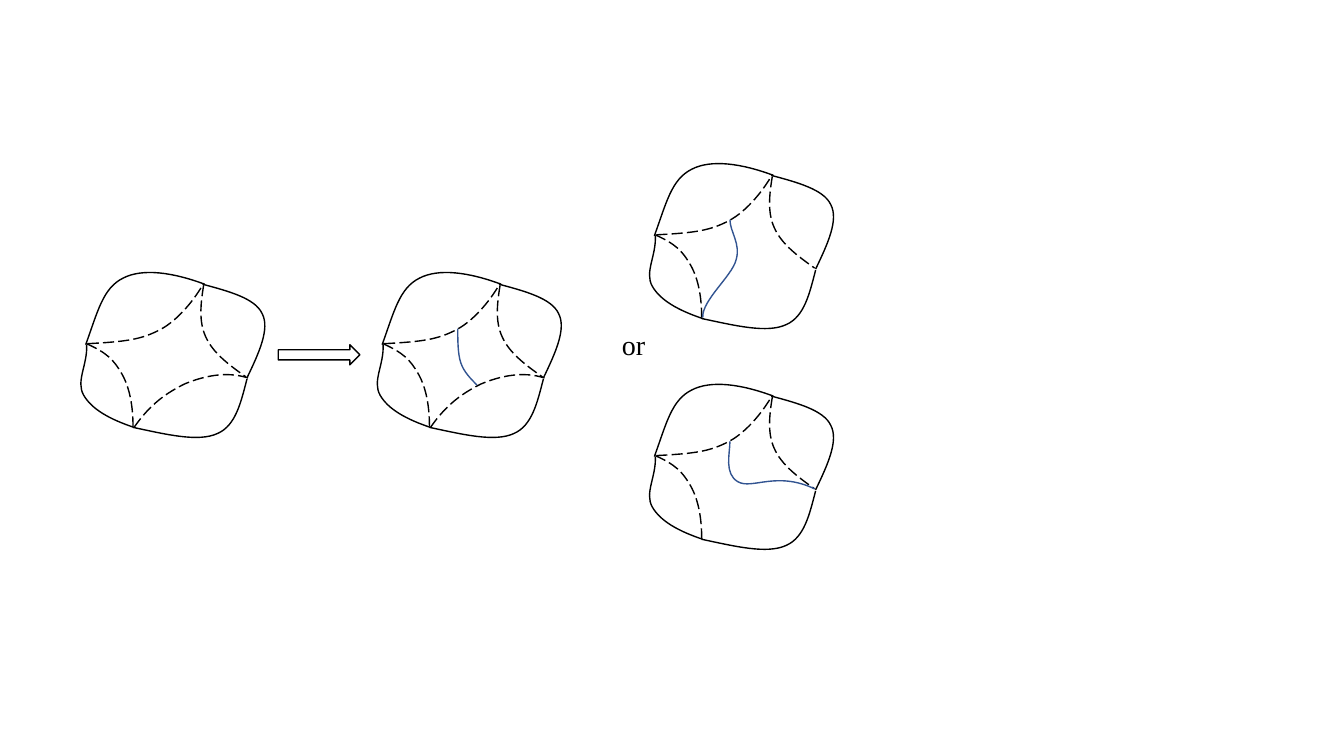
"""Build a slide of a patch cut by dashed arcs, and the ways one blue arc can extend it."""
from lxml import etree
from pptx import Presentation
from pptx import util as u
from pptx.dml.color import RGBColor
from pptx.enum import dml, shapes, text
from pptx.oxml.ns import qn

BLACK = RGBColor(0x00, 0x00, 0x00)
BLUE = RGBColor(0x32, 0x54, 0x91)
STEPS = 24

RIM = [
    [(0.85, 3.42), (0.97, 3.09), (1.02, 2.86), (1.22, 2.76), (1.41, 2.66), (1.71, 2.70), (2.03, 2.82)],
    [(2.01, 2.82), (2.27, 2.89), (2.53, 2.96), (2.60, 3.11), (2.68, 3.26), (2.57, 3.50), (2.45, 3.75)],
    [(0.86, 3.42), (0.87, 3.62), (0.75, 3.78), (0.83, 3.92), (0.91, 4.06), (1.09, 4.16), (1.33, 4.24)],
    [(2.45, 3.76), (2.39, 3.99), (2.34, 4.22), (2.16, 4.30), (1.97, 4.39), (1.65, 4.31), (1.32, 4.24)],
]
ARCS = [
    [(0.87, 3.41), (1.25, 3.39), (1.40, 3.37), (1.59, 3.27), (1.78, 3.17), (1.95, 2.94), (2.02, 2.81)],
    [(0.86, 3.41), (1.06, 3.50), (1.13, 3.57), (1.21, 3.71), (1.29, 3.85), (1.32, 4.04), (1.32, 4.23)],
    [(2.02, 2.83), (1.99, 3.01), (1.97, 3.19), (2.04, 3.34), (2.11, 3.50), (2.27, 3.62), (2.44, 3.74)],
]
LOWER_ARC = [(1.33, 4.24), (1.49, 4.01), (1.65, 3.90), (1.83, 3.81), (2.02, 3.73), (2.25, 3.68), (2.46, 3.75)]

TO_LOWER_ARC = [(1.60, 3.26), (1.60, 3.38), (1.60, 3.51), (1.63, 3.60), (1.66, 3.69), (1.73, 3.76), (1.79, 3.82)]
TO_LEFT_CORNER = [(1.60, 3.26), (1.60, 3.38), (1.71, 3.50), (1.66, 3.66), (1.62, 3.82), (1.32, 4.06), (1.33, 4.23)]
TO_RIGHT_CORNER = [(1.60, 3.27), (1.60, 3.39), (1.54, 3.59), (1.68, 3.67), (1.82, 3.75), (2.06, 3.56), (2.44, 3.74)]

PATCHES = [
    (0, 0, [LOWER_ARC], []),
    (2.94, 0, [LOWER_ARC], [TO_LOWER_ARC]),
    (5.64, -1.08, [], [TO_LEFT_CORNER]),
    (5.64, 1.11, [], [TO_RIGHT_CORNER]),
]

deck = Presentation()
deck.slide_width, deck.slide_height = u.Inches(13.33), u.Inches(7.5)
slide = deck.slides.add_slide(deck.slide_layouts[6])


def style_outline(shape, colour):
    shape.shadow.inherit = False
    shape.fill.background()
    shape.line.color.rgb = colour
    shape.line.width = u.Pt(1)


def draw_curve(points, dx, dy, colour, dashed=False):
    """Size the outline from sampled points, then store it as true Bezier curves."""
    points = [(u.Inches(x + dx), u.Inches(y + dy)) for x, y in points]
    outline = []
    for start in range(0, len(points) - 1, 3):
        bend = points[start:start + 4]
        for step in range(1, STEPS + 1):
            t = step / STEPS
            weights = ((1 - t) ** 3, 3 * t * (1 - t) ** 2, 3 * t * t * (1 - t), t ** 3)
            outline.append(tuple(round(sum(w * p[axis] for w, p in zip(weights, bend)))
                                 for axis in (0, 1)))
    builder = slide.shapes.build_freeform(*points[0])
    builder.add_line_segments(outline, close=False)
    curve = builder.convert_to_shape()

    geometry = next(curve._element.iter(qn("a:path")))
    for segment in geometry.findall(qn("a:lnTo")):
        geometry.remove(segment)
    for start in range(1, len(points), 3):
        bezier = etree.SubElement(geometry, qn("a:cubicBezTo"))
        for x, y in points[start:start + 3]:
            etree.SubElement(bezier, qn("a:pt"), x=str(x - curve.left), y=str(y - curve.top))

    style_outline(curve, colour)
    if dashed:
        curve.line.dash_style = dml.MSO_LINE.LONG_DASH


for dx, dy, extra_arcs, new_arcs in PATCHES:
    for side in RIM:
        draw_curve(side, dx, dy, BLACK)
    for arc in ARCS + extra_arcs:
        draw_curve(arc, dx, dy, BLACK, dashed=True)
    for arc in new_arcs:
        draw_curve(arc, dx, dy, BLUE)

step_arrow = slide.shapes.add_shape(shapes.MSO_SHAPE.RIGHT_ARROW, u.Inches(2.76), u.Inches(3.42),
                                    u.Inches(0.81), u.Inches(0.2))
style_outline(step_arrow, BLACK)

either = slide.shapes.add_textbox(u.Inches(6.07), u.Inches(3.2), u.Inches(0.44), u.Inches(0.44))
either.text_frame.word_wrap = False
either.text_frame.auto_size = text.MSO_AUTO_SIZE.SHAPE_TO_FIT_TEXT
word = either.text_frame.paragraphs[0]
word.text = "or"
word.font.name = "Times New Roman"
word.font.size = u.Pt(20)
word.font.color.rgb = BLACK

deck.save("out.pptx")
